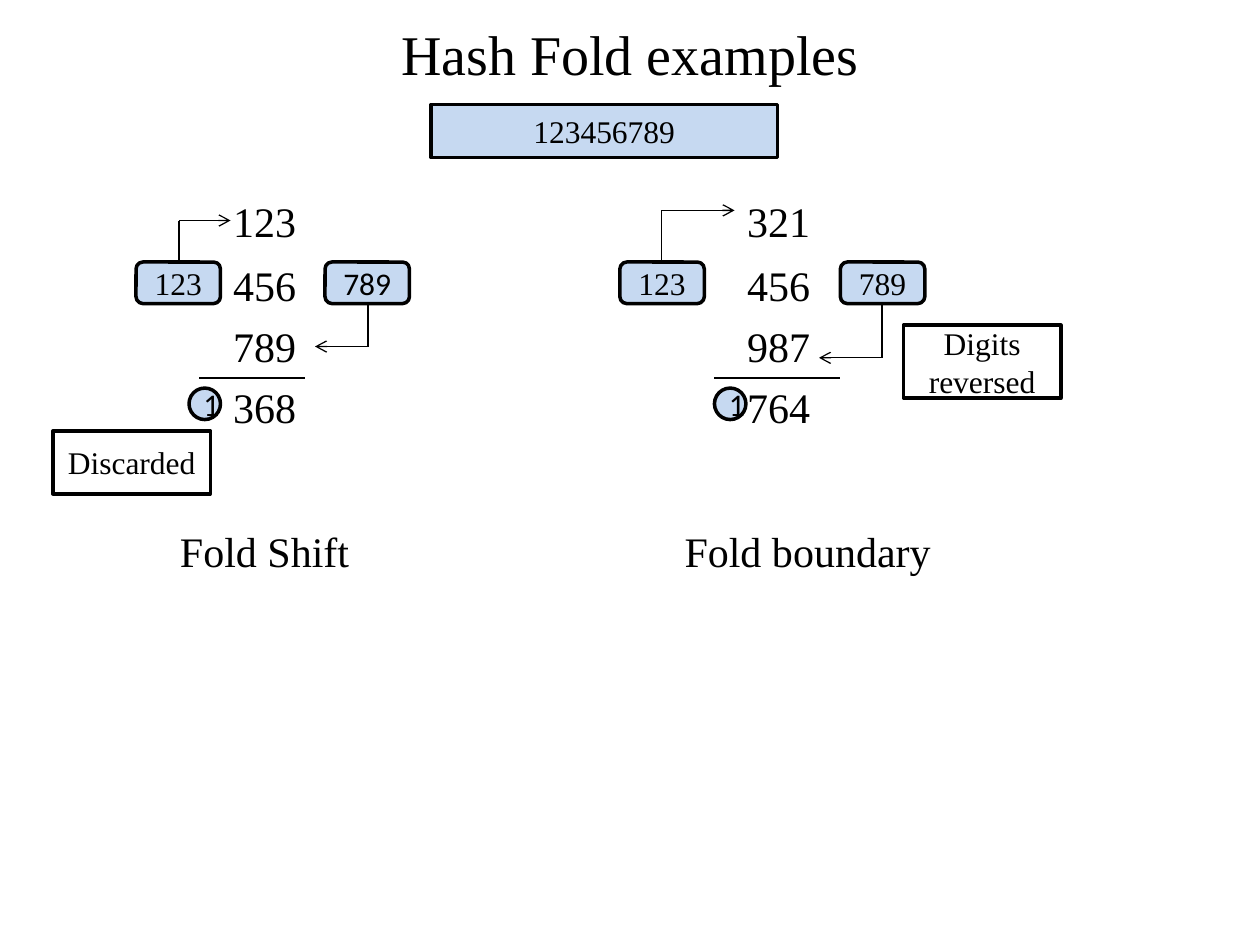
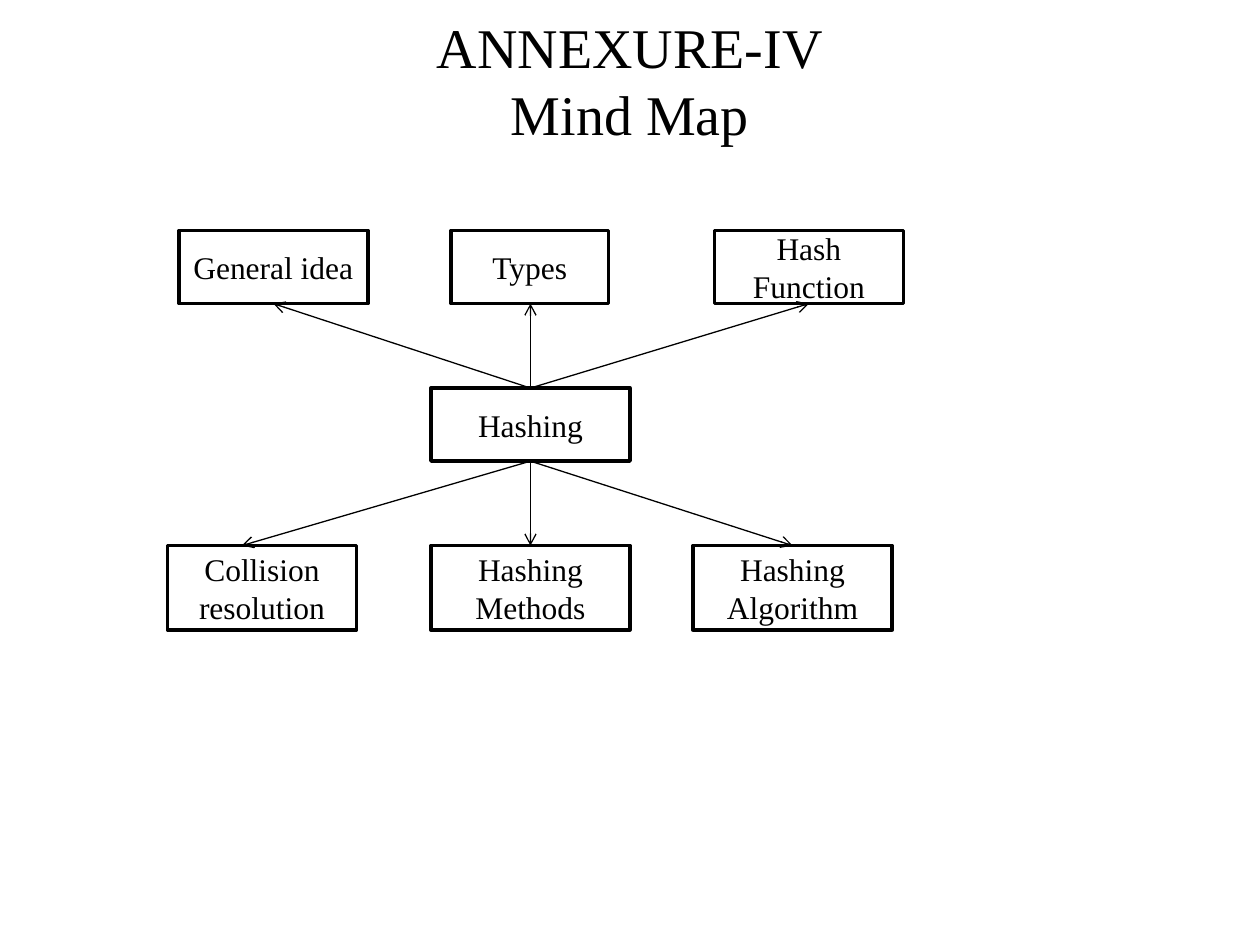
from dataclasses import dataclass

from lxml import etree
from pptx import Presentation
from pptx.dml.color import RGBColor
from pptx.enum.shapes import MSO_CONNECTOR, MSO_SHAPE
from pptx.enum.text import MSO_ANCHOR, PP_ALIGN
from pptx.oxml.ns import qn
from pptx.slide import Slide
from pptx.util import Inches, Pt

RECT, ROUNDED = MSO_SHAPE.RECTANGLE, MSO_SHAPE.ROUNDED_RECTANGLE
CIRCLE = MSO_SHAPE.FLOWCHART_CONNECTOR
STRAIGHT = MSO_CONNECTOR.STRAIGHT
CENTER = PP_ALIGN.CENTER
TOP, MIDDLE = MSO_ANCHOR.TOP, MSO_ANCHOR.MIDDLE

COLORS = {"ink": "000000", "paper": "FFFFFF", "digits": "C6D9F1"}
SERIF, SANS = "Times New Roman", "Calibri"

Point = tuple[float, float]


@dataclass(frozen=True)
class Box:
    left: float
    top: float
    width: float
    height: float
    lines: tuple[str, ...]
    fill: str = "paper"
    outline: int = RECT
    font: str = SERIF


@dataclass(frozen=True)
class Fold:
    caption: str
    caption_center: float
    sum_center: float
    sum_rows: tuple[str, ...]
    first_chip: float
    last_chip: float
    last_chip_font: str
    carry_left: float
    rule: Point
    first_arrow: tuple[Point, ...]
    last_arrow: tuple[Point, ...]


@dataclass(frozen=True)
class Branch:
    box: Box
    arrow_x: float


# Shared drawing functions
def color(name: str) -> RGBColor:
    return RGBColor.from_string(COLORS[name])


def write_lines(frame, lines: tuple[str, ...], size: float, font: str = SERIF,
                anchor: int = MIDDLE, gaps: tuple[float, ...] = ()) -> None:
    """Write one centred paragraph a line; gaps are the spaces between them."""
    frame.word_wrap = True
    frame.vertical_anchor = anchor
    for index, line in enumerate(lines):
        paragraph = frame.paragraphs[0] if index == 0 else frame.add_paragraph()
        paragraph.alignment = CENTER
        if index and gaps:
            paragraph.space_before = Pt(gaps[index - 1])
        run = paragraph.add_run()
        run.text = line
        run.font.size = Pt(size)
        run.font.name = font
        run.font.color.rgb = color("ink")


def add_text(slide: Slide, left: float, top: float, width: float, height: float):
    return slide.shapes.add_textbox(
        Inches(left), Inches(top), Inches(width), Inches(height)).text_frame


def add_title(slide: Slide, lines: tuple[str, ...], height: float) -> None:
    write_lines(add_text(slide, 0.5, 0.17, 9, height), lines, 32)


def add_box(slide: Slide, box: Box) -> None:
    shape = slide.shapes.add_shape(
        box.outline, Inches(box.left), Inches(box.top),
        Inches(box.width), Inches(box.height))
    shape.shadow.inherit = False
    shape.fill.solid()
    shape.fill.fore_color.rgb = color(box.fill)
    shape.line.color.rgb = color("ink")
    shape.line.width = Pt(2)
    write_lines(shape.text_frame, box.lines, 18, box.font)


def add_line(slide: Slide, start: Point, end: Point, arrow: bool = False) -> None:
    line = slide.shapes.add_connector(
        STRAIGHT, Inches(start[0]), Inches(start[1]), Inches(end[0]), Inches(end[1]))
    line.line.color.rgb = color("ink")
    line.line.width = Pt(0.75)
    properties = line._element.spPr
    if arrow:
        etree.SubElement(properties.find(qn("a:ln")), qn("a:tailEnd"), type="arrow")
    etree.SubElement(properties, qn("a:effectLst"))


def add_bent_arrow(slide: Slide, start: Point, corner: Point, end: Point) -> None:
    add_line(slide, start, corner)
    add_line(slide, corner, end, arrow=True)


# Slide 1: the two ways of folding a key
KEY = Box(3.42, 0.83, 2.75, 0.42, ("123456789",), "digits")
NOTES = (
    Box(0.42, 3.42, 1.25, 0.5, ("Discarded",)),
    Box(7.17, 2.58, 1.25, 0.58, ("Digits reversed",)),
)
FOLDS = (
    Fold("Fold Shift", 2.1, 2.1, ("123", "456", "789", "368"),
         1.08, 2.58, SANS, 1.5, (1.58, 2.42),
         ((1.42, 2.08), (1.42, 1.75), (1.83, 1.75)),
         ((2.92, 2.42), (2.92, 2.75), (2.5, 2.75))),
    Fold("Fold boundary", 6.41, 6.18, ("321", "456", "987", "764"),
         4.92, 6.67, SERIF, 5.67, (5.67, 6.67),
         ((5.25, 2.08), (5.25, 1.67), (5.83, 1.67)),
         ((7, 2.42), (7, 2.84), (6.5, 2.84))),
)
SUM_TOP, SUM_WIDTH, CAPTION_TOP, CAPTION_WIDTH = 1.5, 0.8, 4.12, 2.6
RULE_Y = 3


def add_fold(slide: Slide, fold: Fold) -> None:
    sum_frame = add_text(slide, fold.sum_center - SUM_WIDTH / 2, SUM_TOP, SUM_WIDTH, 2)
    write_lines(sum_frame, fold.sum_rows, 24, anchor=TOP, gaps=(8, 6, 6))
    caption_frame = add_text(slide, fold.caption_center - CAPTION_WIDTH / 2,
                             CAPTION_TOP, CAPTION_WIDTH, 0.5)
    write_lines(caption_frame, (fold.caption,), 24, anchor=TOP)

    add_line(slide, (fold.rule[0], RULE_Y), (fold.rule[1], RULE_Y))
    add_box(slide, Box(fold.carry_left, 3.08, 0.25, 0.25, ("1",),
                       "digits", CIRCLE, SANS))
    for left, digits, font in ((fold.first_chip, "123", SERIF),
                               (fold.last_chip, "789", fold.last_chip_font)):
        add_box(slide, Box(left, 2.08, 0.67, 0.33, (digits,), "digits", ROUNDED, font))
    add_bent_arrow(slide, *fold.first_arrow)
    add_bent_arrow(slide, *fold.last_arrow)


def build_fold_slide(slide: Slide) -> None:
    add_title(slide, ("Hash Fold examples",), 0.5)
    add_box(slide, KEY)
    for fold in FOLDS:
        add_fold(slide, fold)
    for note in NOTES:
        add_box(slide, note)


# Slide 2: mind map around one hub
HUB = Box(3.42, 3.08, 1.58, 0.58, ("Hashing",))
UPPER_TOP, UPPER_HEIGHT = 1.83, 0.58
LOWER_TOP, LOWER_HEIGHT = 4.33, 0.67
UPPER_BRANCHES = (
    Branch(Box(1.42, UPPER_TOP, 1.5, UPPER_HEIGHT, ("General idea",)), 2.17),
    Branch(Box(3.58, UPPER_TOP, 1.25, UPPER_HEIGHT, ("Types",)), 4.21),
    Branch(Box(5.67, UPPER_TOP, 1.5, UPPER_HEIGHT, ("Hash Function",)), 6.42),
)
LOWER_BRANCHES = (
    Branch(Box(1.33, LOWER_TOP, 1.5, LOWER_HEIGHT, ("Collision resolution",)), 1.92),
    Branch(Box(3.42, LOWER_TOP, 1.58, LOWER_HEIGHT, ("Hashing", "Methods")), 4.21),
    Branch(Box(5.5, LOWER_TOP, 1.58, LOWER_HEIGHT, ("Hashing", "Algorithm")), 6.29),
)


def build_mind_map_slide(slide: Slide) -> None:
    add_title(slide, ("ANNEXURE-IV", "Mind Map"), 0.92)
    add_box(slide, HUB)
    hub_center = HUB.left + HUB.width / 2
    rows = (
        (UPPER_BRANCHES, HUB.top, UPPER_TOP + UPPER_HEIGHT),
        (LOWER_BRANCHES, HUB.top + HUB.height, LOWER_TOP),
    )
    for branches, hub_edge, branch_edge in rows:
        for branch in branches:
            add_box(slide, branch.box)
            add_line(slide, (hub_center, hub_edge), (branch.arrow_x, branch_edge),
                     arrow=True)


def main() -> None:
    deck = Presentation()
    deck.slide_width, deck.slide_height = Inches(10), Inches(7.5)
    blank = deck.slide_layouts[6]
    for build in (build_fold_slide, build_mind_map_slide):
        build(deck.slides.add_slide(blank))
    deck.save("out.pptx")


if __name__ == "__main__":
    main()
